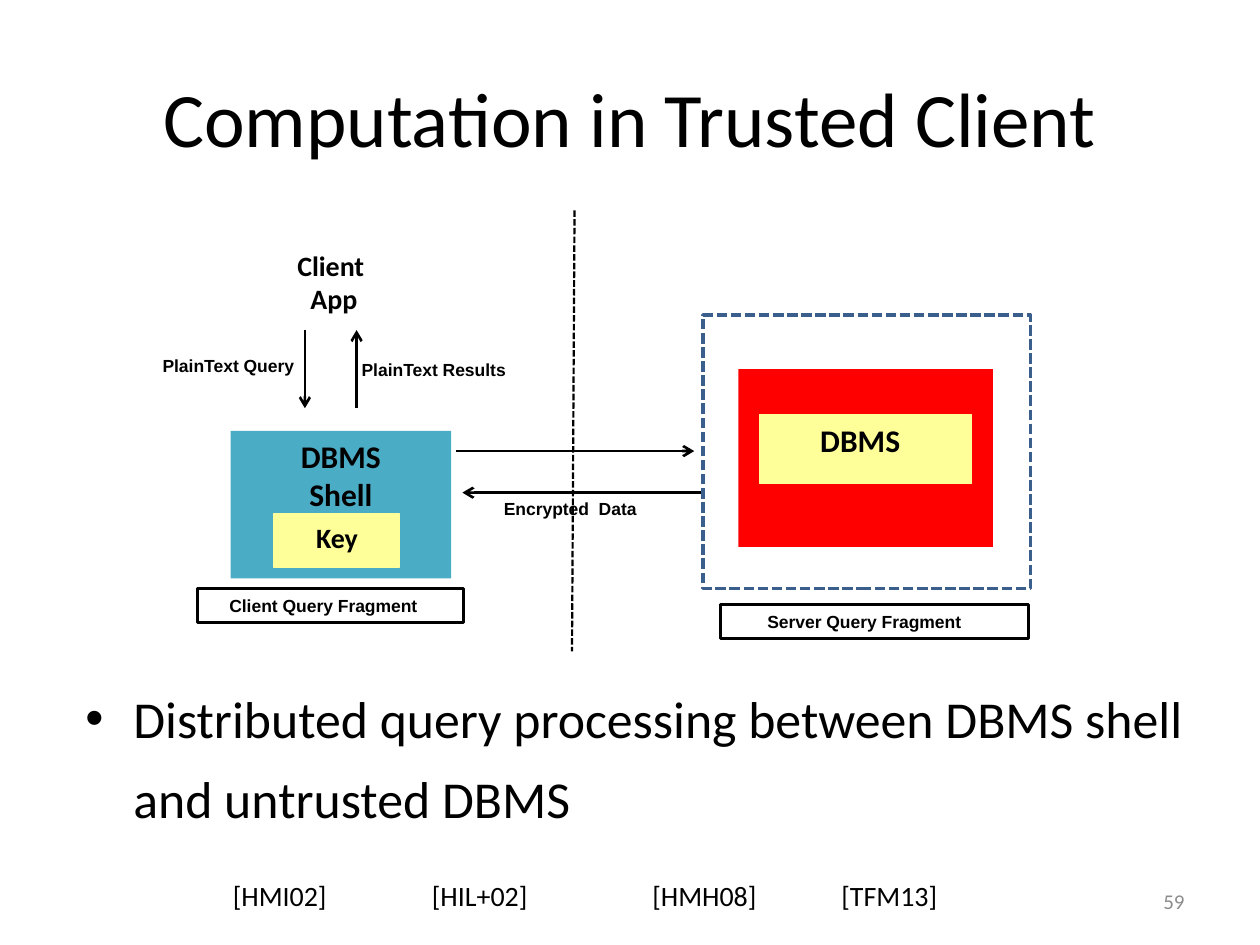
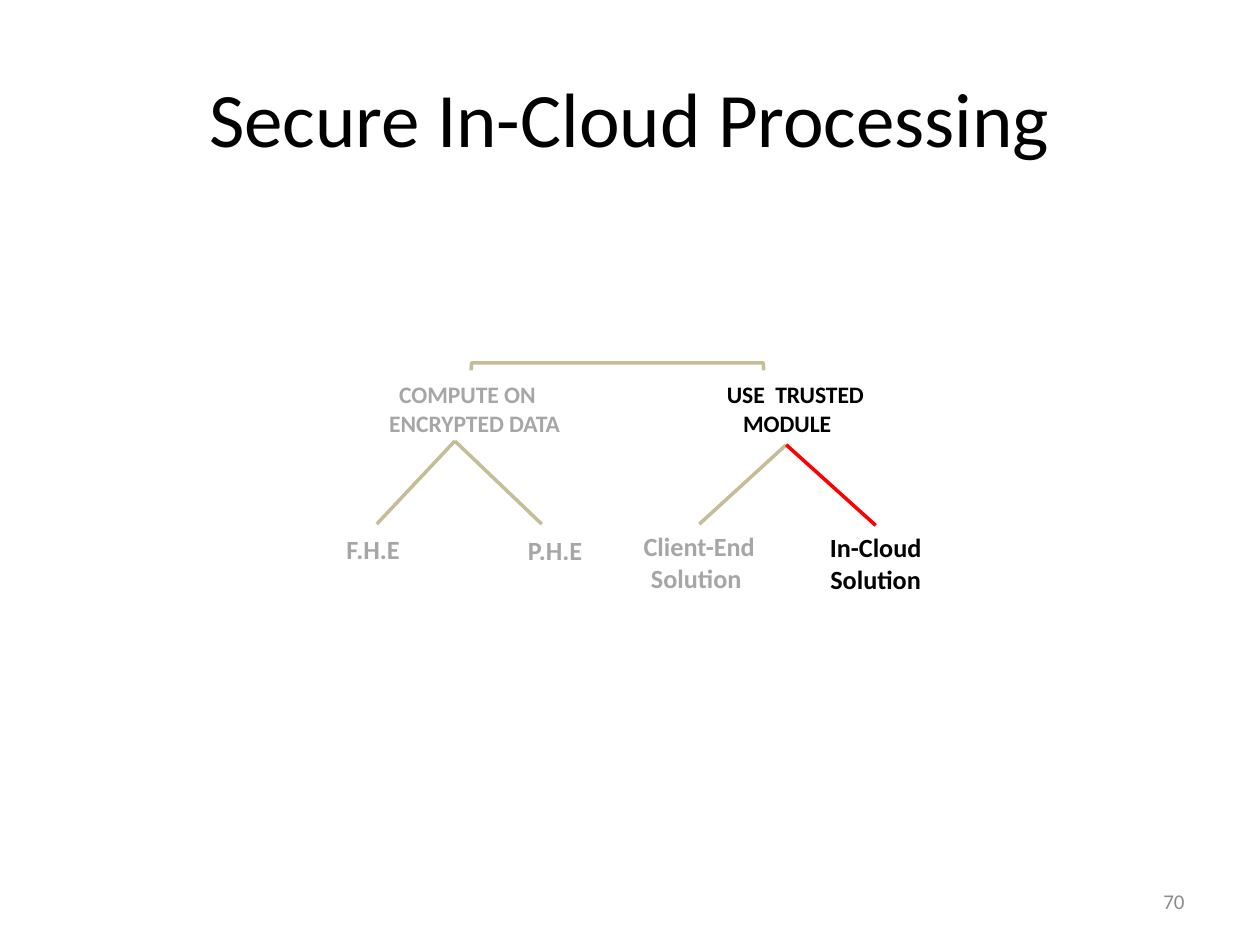
from lxml import etree
from pptx import Presentation
from pptx import util as u
from pptx.dml.color import RGBColor
from pptx.enum import dml, shapes, text
from pptx.oxml import ns

BLACK, WHITE, RED = "000000", "FFFFFF", "FF0000"
TEAL, YELLOW, NAVY = "4BACC6", "FFFF99", "3A5F8C"
TAN, FADED, FOOTER = "C4BD97", "A6A6A6", "8C8C8C"
COLUMNS = 10  # the grid has square cells, ten across the slide
LEFT, CENTER, RIGHT = text.PP_ALIGN.LEFT, text.PP_ALIGN.CENTER, text.PP_ALIGN.RIGHT
BOTTOM, TOP = 2, 0  # connection sites
DASH = dml.MSO_LINE.SQUARE_DOT


def color(hex_string):
    return RGBColor.from_string(hex_string)


def sub(parent, tag, **attributes):
    return etree.SubElement(parent, ns.qn(tag), attributes)


def write(holder, lines, size=16, font="Calibri", ink=BLACK, bold=False,
          align=LEFT, middle=False, inset=0.1, indents=(), spacing=None):
    """Fill a shape with paragraphs; inset and indents are in inches."""
    frame = holder.text_frame
    frame.word_wrap = True
    frame.margin_left = u.Inches(inset)
    frame.vertical_anchor = text.MSO_ANCHOR.MIDDLE if middle else text.MSO_ANCHOR.TOP
    frame.text = "\n".join(lines)
    for paragraph in frame.paragraphs:
        paragraph.alignment = align
        paragraph.line_spacing = spacing
        for run in paragraph.runs:
            run.font.size, run.font.name, run.font.bold = u.Pt(size), font, bold
            run.font.color.rgb = color(ink)
    for paragraph, indent in zip(frame.paragraphs, indents):
        paragraph._p.get_or_add_pPr().set("marL", str(u.Inches(indent)))
    return holder


class Deck:
    def __init__(self):
        self.file = Presentation()
        self.file.slide_width, self.file.slide_height = u.Inches(10), u.Inches(7.5)
        self.cell = self.file.slide_width / COLUMNS
        self.slide = None

    def grid(self, *cells):
        return [round(value * self.cell) for value in cells]

    def page(self, title, number):
        self.slide = self.file.slides.add_slide(self.file.slide_layouts[6])
        self.label([title], 0.5, 0.3, 9, 1.25, size=44, align=CENTER, middle=True)
        self.label([number], 7.17, 6.95, 2.33, 0.4, size=12, ink=FOOTER,
                   align=RIGHT, middle=True)

    def label(self, lines, left, top, width, height, **style):
        holder = self.slide.shapes.add_textbox(*self.grid(left, top, width, height))
        return write(holder, lines, **style)

    def stroke(self, line, ink, weight, dash=None):
        line.color.rgb, line.width = color(ink), u.Pt(weight)
        if dash:
            line.dash_style = dash

    def box(self, left, top, width, height, fill=None, line=None, weight=0.75,
            dash=None, lines=(), kind=shapes.MSO_SHAPE.RECTANGLE, **style):
        part = self.slide.shapes.add_shape(kind, *self.grid(left, top, width, height))
        part.shadow.inherit = False
        if fill:
            part.fill.solid()
            part.fill.fore_color.rgb = color(fill)
        else:
            part.fill.background()
        if line:
            self.stroke(part.line, line, weight, dash)
        else:
            part.line.fill.background()
        if lines:
            write(part, lines, **style)
        return part

    def line(self, x1, y1, x2, y2, ink=BLACK, weight=1.5, dash=None, arrow=False):
        link = self.slide.shapes.add_connector(
            shapes.MSO_CONNECTOR.STRAIGHT, *self.grid(x1, y1, x2, y2))
        self.stroke(link.line, ink, weight, dash)
        if arrow:
            sub(link.line._get_or_add_ln(), "a:tailEnd", type="arrow")
        sub(link._element.spPr, "a:effectLst")
        return link

    def bullet(self, words, left, top, width, height, hang, **style):
        holder = self.label([words], left, top, width, height, indents=[hang], **style)
        props = holder.text_frame.paragraphs[0]._p.get_or_add_pPr()
        props.set("indent", str(-u.Inches(hang)))
        sub(props, "a:buFont", typeface="Arial")
        sub(props, "a:buChar", char="•")


def trusted_client(deck):
    deck.page("Computation in Trusted Client", "59")
    caption = dict(size=10, font="Arial", bold=True)

    # Client side
    deck.box(1.83, 3.42, 1.75, 1.17, TEAL, lines=["DBMS", "Shell"],
             size=18, bold=True, align=CENTER)
    deck.box(2.14, 1.92, 1.02, 0.7, WHITE, lines=["Client ", "App"],
             bold=True, align=CENTER)
    deck.box(2.17, 4.08, 1, 0.42, YELLOW, YELLOW, lines=["Key"], bold=True, inset=0.34)

    # Border between client and server
    deck.line(4.56, 1.67, 4.54, 5.17, weight=1.25, dash=DASH)

    # Server side
    server = [
        deck.box(5.58, 2.5, 2.6, 2.17, line=NAVY, weight=2, dash=DASH),
        deck.box(5.86, 2.93, 2.02, 1.41, RED),
        deck.box(6.03, 3.29, 1.68, 0.55, YELLOW, YELLOW, lines=["DBMS"],
                 size=18, bold=True, inset=0.48),
    ]
    deck.slide.shapes.add_group_shape(server)

    # Query fragments
    for name, left, top, width, inset in (
            ("Client Query Fragment", 1.57, 4.67, 2.11, 0.25),
            ("Server Query Fragment", 5.72, 4.8, 2.44, 0.37)):
        deck.box(left, top, width, 0.27, WHITE, BLACK, 1.75,
                 lines=[name], inset=inset, **caption)

    # Messages
    for route in ((2.42, 2.62, 2.42, 3.24), (2.83, 3.24, 2.83, 2.62),
                  (3.62, 3.58, 5.51, 3.58), (5.56, 3.91, 3.67, 3.91)):
        deck.line(*route, arrow=True)
    for message, left, top, inset in (("PlainText Query", 1.04, 2.77, 0.25),
                                      ("PlainText Results", 2.62, 2.8, 0.25),
                                      ("Encrypted  Data", 3.9, 3.9, 0.1)):
        deck.label([message], left, top, 1.65, 0.27, inset=inset, **caption)

    # Summary and references
    deck.bullet("Distributed query processing between DBMS shell and untrusted DBMS",
                0.58, 5.25, 9, 1.42, hang=0.38, size=29.6, spacing=1.3)
    for reference, left in (("[HMI02]", 1.75), ("[HIL+02]", 3.33),
                            ("[HMH08]", 5.08), ("[TFM13]", 6.58)):
        deck.label([reference], left, 6.92, 1.1, 0.37)


def in_cloud(deck):
    deck.page("Secure In-Cloud Processing", "70")

    # Two approaches under one bracket
    deck.box(4.87, 1.75, 0.06, 2.32, line=TAN, weight=2,
             kind=shapes.MSO_SHAPE.LEFT_BRACKET).rotation = 90
    approach = dict(size=13.5, bold=True)
    deck.label(["COMPUTE ON", "ENCRYPTED DATA"], 2.99, 2.97, 1.62, 0.56,
               ink=FADED, indents=(0.08, 0), **approach)
    trusted = deck.label(["USE  TRUSTED", "MODULE"], 5.43, 2.97, 1.62, 0.56,
                         indents=(0.24, 0.37), **approach)

    # Techniques on encrypted data
    for name, left, top, inset, tip in (("F.H.E", 2.31, 4.18, 0.44, 2.99),
                                        ("P.H.E", 3.68, 4.19, 0.51, 4.3)):
        deck.label([name], left, top, 1.5, 0.35, size=15, ink=FADED, bold=True,
                   inset=inset)
        deck.line(3.61, 3.5, tip, 4.16, TAN, 2)

    # Places for the trusted module
    for name, left, top, ink, branch_ink in (
            ("Client-End\vSolution ", 4.8, 4.16, FADED, TAN),
            ("In-Cloud\vSolution", 6.2, 4.17, BLACK, RED)):
        solution = deck.label([name], left, top, 1.5, 0.61, size=15, ink=ink,
                              bold=True, align=CENTER)
        branch = deck.line(6.24, 3.53, left + 0.75, top, branch_ink, 2)
        branch.begin_connect(trusted, BOTTOM)
        branch.end_connect(solution, TOP)


def main():
    deck = Deck()
    trusted_client(deck)
    in_cloud(deck)
    deck.file.save("out.pptx")


if __name__ == "__main__":
    main()
